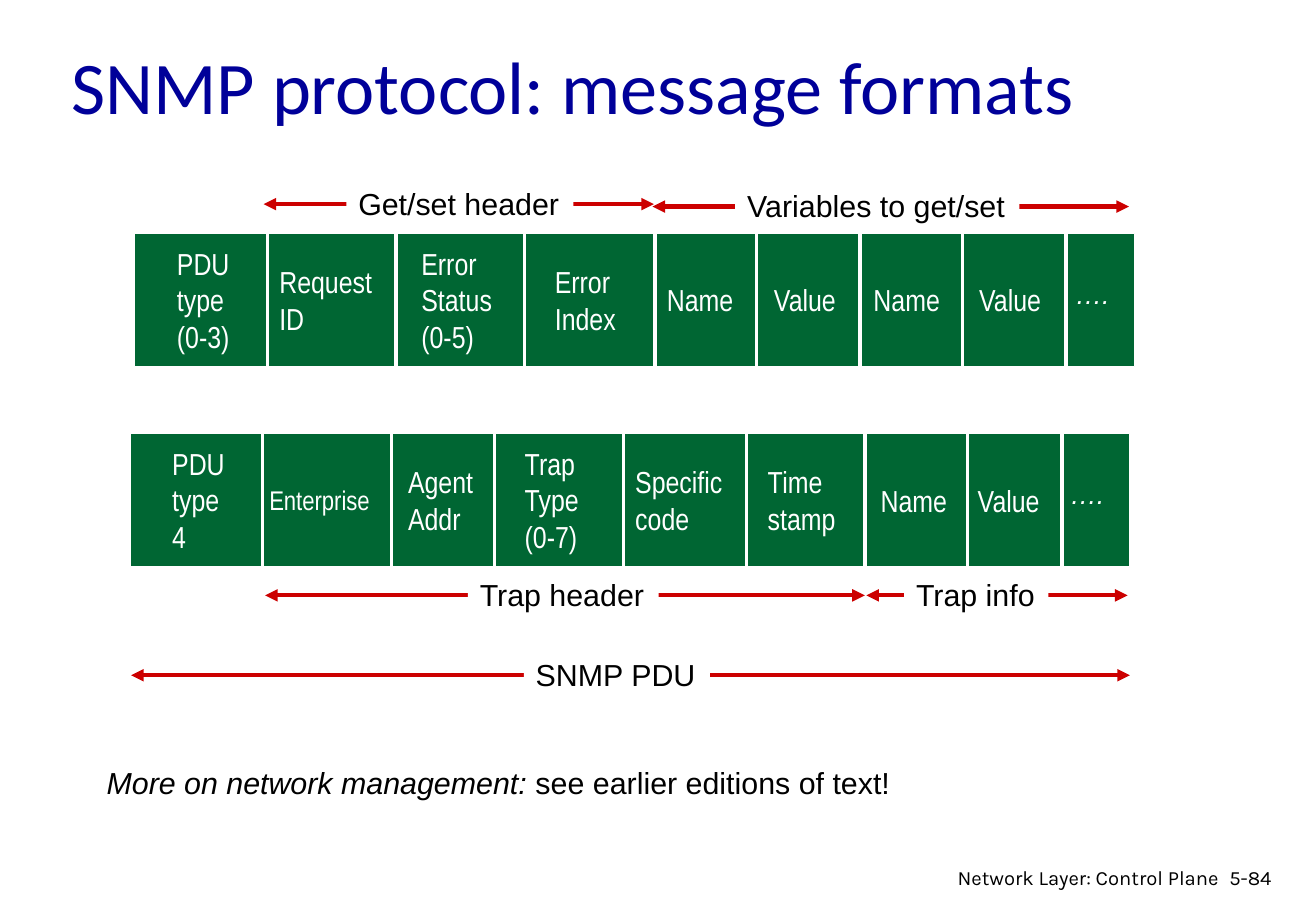
from dataclasses import dataclass

from lxml.etree import SubElement
from pptx import Presentation
from pptx.dml.color import RGBColor
from pptx.enum.shapes import MSO_CONNECTOR, MSO_SHAPE
from pptx.enum.text import MSO_ANCHOR, MSO_AUTO_SIZE, PP_ALIGN
from pptx.oxml.ns import qn
from pptx.util import Cm, Pt


@dataclass(frozen=True)
class Theme:
    title_blue: RGBColor = RGBColor(0x00, 0x00, 0x99)
    green: RGBColor = RGBColor(0x00, 0x66, 0x33)
    red: RGBColor = RGBColor(0xCC, 0x00, 0x00)
    white: RGBColor = RGBColor(0xFF, 0xFF, 0xFF)
    black: RGBColor = RGBColor(0x00, 0x00, 0x00)
    title_font: str = "Calibri"
    text_font: str = "Arial"
    field_font: str = "Arial Narrow"
    footer_font: str = "Karla"
    title_size: int = 44
    text_size: int = 18
    small_size: int = 16
    footer_size: int = 12


THEME = Theme()
ROW_WIDTH, ROW_HEIGHT = 20.9, 2.79
LINE_HEIGHT, LABEL_HEIGHT = 0.77, 1.02
DOTS = "…."

# Field: text, text left, text width (cm)
REQUEST_FIELDS = [
    ("PDU\ntype\n(0-3)", 3.45, 1.63),
    ("Request\nID", 5.59, 2.49),
    ("Error\nStatus\n(0-5)", 8.56, 2.01),
    ("Error\nIndex", 11.35, 1.8),
    ("Name", 13.69, 1.9),
    ("Value", 15.93, 1.83),
    ("Name", 18.01, 1.9),
    ("Value", 20.22, 1.83),
    (DOTS, 22.23, 1.24),
]
REQUEST_DIVIDERS = [5.59, 8.28, 10.97, 13.69, 15.82, 17.98, 20.12, 22.28]

TRAP_FIELDS = [
    ("PDU\ntype\n4", 3.35, 1.63),
    ("Enterprise", 5.38, 2.64),
    ("Agent\nAddr", 8.28, 1.9),
    ("Trap\nType\n(0-7)", 10.72, 1.65),
    ("Specific\ncode", 13.03, 2.36),
    ("Time\nstamp", 15.8, 1.96),
    ("Name", 18.16, 1.9),
    ("Value", 20.19, 1.83),
    (DOTS, 22.12, 1.24),
]
TRAP_DIVIDERS = [5.49, 8.18, 10.34, 13.03, 15.6, 18.08, 20.22, 22.2]

# Span: text, arrow start, arrow end, arrow height on slide, label left, label width (cm)
SPANS = [
    ("Get/set header", 5.51, 13.67, 4.27, 7.24, 4.75),
    ("Variables to get/set", 13.64, 23.6, 4.32, 15.37, 5.94),
    ("Trap header", 5.54, 18.08, 12.45, 9.78, 3.99),
    ("Trap info", 18.11, 23.57, 12.45, 18.9, 3.02),
    ("SNMP PDU", 2.74, 23.62, 14.12, 10.95, 3.89),
]


def write_text(text_frame, text, *, size=THEME.text_size, font=THEME.text_font,
               color=THEME.black, italic=False, align=PP_ALIGN.LEFT,
               anchor=MSO_ANCHOR.TOP, wrap=False, line_spacing=None, lead=""):
    """Fill the frame, one paragraph a line; lead is an italic opening run."""
    text_frame.word_wrap = wrap
    text_frame.auto_size = MSO_AUTO_SIZE.NONE if wrap else MSO_AUTO_SIZE.SHAPE_TO_FIT_TEXT
    text_frame.vertical_anchor = anchor
    text_frame.text = lead or text
    if lead:
        text_frame.paragraphs[0].add_run().text = text
    for paragraph in text_frame.paragraphs:
        paragraph.alignment = align
        if line_spacing:
            paragraph.line_spacing = Pt(line_spacing)
        for run in paragraph.runs:
            run.font.size = Pt(size)
            run.font.name = font
            run.font.color.rgb = color
            run.font.italic = italic
    if lead:
        text_frame.paragraphs[0].runs[0].font.italic = True


def add_text(slide, text, left, top, width, height, **text_format):
    box = slide.shapes.add_textbox(Cm(left), Cm(top), Cm(width), Cm(height))
    write_text(box.text_frame, text, **text_format)


def add_rectangle(slide, left, top, width, height, fill, outline=None):
    shape = slide.shapes.add_shape(
        MSO_SHAPE.RECTANGLE, Cm(left), Cm(top), Cm(width), Cm(height))
    shape.shadow.inherit = False
    shape.fill.solid()
    shape.fill.fore_color.rgb = fill
    if outline is None:
        shape.line.fill.background()
    else:
        shape.line.color.rgb = outline
        shape.line.width = Pt(0.75)
    return shape


def add_line(slide, start, end, color, width, arrowheads=False):
    x1, y1, x2, y2 = (Cm(length) for length in (*start, *end))
    connector = slide.shapes.add_connector(MSO_CONNECTOR.STRAIGHT, x1, y1, x2, y2)
    connector.line.color.rgb = color
    connector.line.width = Pt(width)
    properties = connector.element.spPr
    if arrowheads:
        outline = properties.find(qn("a:ln"))
        for tag in ("a:headEnd", "a:tailEnd"):
            SubElement(outline, qn(tag), type="triangle")
    SubElement(properties, qn("a:effectLst"))


def add_message_row(slide, left, top, fields, dividers):
    add_rectangle(slide, left, top, ROW_WIDTH, ROW_HEIGHT, THEME.green, THEME.white)
    for x in dividers:
        add_line(slide, (x, top), (x, top + ROW_HEIGHT), THEME.white, 2)
    for text, text_left, text_width in fields:
        text_format = {"font": THEME.field_font}
        height = LABEL_HEIGHT + LINE_HEIGHT * text.count("\n")
        if text == DOTS:
            height = 0.69
            text_format = {"size": THEME.small_size, "italic": True, "line_spacing": 12}
        elif text == "Enterprise":
            height = 0.94
            text_format["size"] = THEME.small_size
        add_text(slide, text, text_left, top + (ROW_HEIGHT - height) / 2,
                 text_width, height, color=THEME.white, **text_format)


def add_span(slide, text, start, end, y, label_left, label_width):
    """Draw a double arrow with a label that interrupts it."""
    add_line(slide, (start, y), (end, y), THEME.red, 2.5, arrowheads=True)
    label = add_rectangle(slide, label_left, y - 0.53, label_width, LABEL_HEIGHT, THEME.white)
    write_text(label.text_frame, text)


def add_title(slide, text):
    title = slide.shapes.title
    title.left, title.top, title.width, title.height = Cm(1.24), Cm(0.61), Cm(23.39), Cm(2.31)
    write_text(title.text_frame, text, size=THEME.title_size, font=THEME.title_font,
               color=THEME.title_blue, anchor=MSO_ANCHOR.MIDDLE, wrap=True)


def add_footer(slide):
    footer_format = {"size": THEME.footer_size, "font": THEME.footer_font, "wrap": True}
    add_text(slide, "5-84", 25.45, 17.98, 1.65, 0.76, **footer_format)
    add_text(slide, "Network Layer: Control Plane", 19.18, 17.98, 6.55, 0.66,
             align=PP_ALIGN.RIGHT, **footer_format)


def main():
    presentation = Presentation()
    presentation.slide_width, presentation.slide_height = Cm(27.51), Cm(19.05)
    slide = presentation.slides.add_slide(presentation.slide_layouts.get_by_name("Title Only"))
    add_title(slide, "SNMP protocol: message formats")
    add_message_row(slide, 2.82, 4.88, REQUEST_FIELDS, REQUEST_DIVIDERS)
    add_message_row(slide, 2.72, 9.07, TRAP_FIELDS, TRAP_DIVIDERS)
    for span in SPANS:
        add_span(slide, *span)
    add_text(slide, "see earlier editions of text!", 1.98, 15.85, 17.04, LABEL_HEIGHT,
             lead="More on network management: ")
    add_footer(slide)
    presentation.save("out.pptx")


if __name__ == "__main__":
    main()
